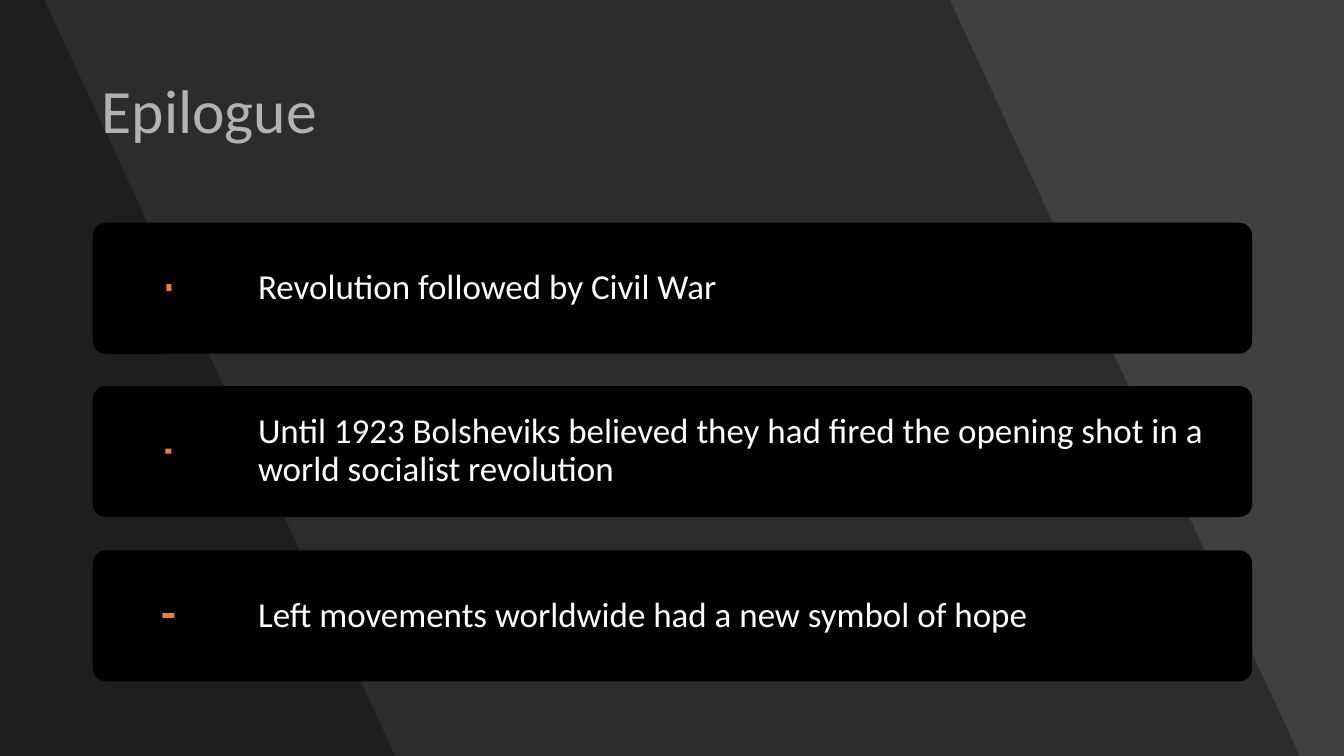
"""Build the "Epilogue" slide: a title above three marked statement panels."""
from dataclasses import dataclass

from lxml import etree
from pptx import Presentation
from pptx import util as u
from pptx.dml.color import RGBColor
from pptx.enum import shapes, text
from pptx.oxml.ns import qn

PX = 9144
SLIDE_WIDTH, SLIDE_HEIGHT = 1333, 750
PANEL_LEFT, PANEL_TOP, PANEL_WIDTH, PANEL_HEIGHT = 92, 221, 1150, 130
FIRST_TO_LAST = 325
TEXT_LEFT, TEXT_WIDTH, TEXT_INSET = 242, 1000, 14
MARK_CENTRE = 167
BAND_OPACITY = 30

BACKGROUND = RGBColor(0x40, 0x40, 0x40)
BLACK = RGBColor(0x00, 0x00, 0x00)
WHITE = RGBColor(0xFF, 0xFF, 0xFF)
ORANGE = RGBColor(0xED, 0x7D, 0x31)


@dataclass(frozen=True)
class Band:
    top_right: int
    bottom_right: int


@dataclass(frozen=True)
class Statement:
    wording: str
    mark_width: int
    mark_height: int


BANDS = [Band(942, 1289), Band(44, 392)]
STATEMENTS = [
    Statement("Revolution followed by Civil War", 5, 7),
    Statement(
        "Until 1923 Bolsheviks believed they had fired the opening shot "
        "in a world socialist revolution", 6, 5),
    Statement("Left movements worldwide had a new symbol of hope", 12, 5),
]


def px(length: int) -> u.Emu:
    return u.Emu(length * PX)


def paint(shape, colour: RGBColor) -> None:
    shape.shadow.inherit = False
    shape.fill.solid()
    shape.fill.fore_color.rgb = colour
    shape.line.fill.background()


def write(shape, wording: str, *, size: int, inset: int | None = None) -> None:
    frame = shape.text_frame
    frame.word_wrap = True
    frame.auto_size = text.MSO_AUTO_SIZE.NONE
    frame.vertical_anchor = text.MSO_ANCHOR.MIDDLE
    if inset is not None:
        frame.margin_left = frame.margin_right = px(inset)
        frame.margin_top = frame.margin_bottom = px(inset)
    paragraph = frame.paragraphs[0]
    paragraph.alignment = text.PP_ALIGN.LEFT
    paragraph.line_spacing = 0.9
    run = paragraph.add_run()
    run.text = wording
    run.font.name = "Calibri"
    run.font.size = u.Pt(size)
    run.font.color.rgb = WHITE


def add_band(slide, band: Band) -> None:
    builder = slide.shapes.build_freeform(0, 0, scale=PX)
    builder.add_line_segments([
        (band.top_right, 0), (band.bottom_right, SLIDE_HEIGHT), (0, SLIDE_HEIGHT)])
    shape = builder.convert_to_shape()
    paint(shape, BLACK)
    colour = shape.fill._xPr.find(qn("a:solidFill"))[0]
    etree.SubElement(colour, qn("a:alpha"), val=str(BAND_OPACITY * 1000))


def add_statement(slide, statement: Statement, top: int) -> None:
    panel = slide.shapes.add_shape(
        shapes.MSO_SHAPE.ROUNDED_RECTANGLE,
        px(PANEL_LEFT), px(top), px(PANEL_WIDTH), px(PANEL_HEIGHT))
    panel.adjustments[0] = 0.1
    paint(panel, BLACK)
    mark = slide.shapes.add_shape(
        shapes.MSO_SHAPE.RECTANGLE,
        px(MARK_CENTRE - statement.mark_width // 2),
        px(top + (PANEL_HEIGHT - statement.mark_height) // 2),
        px(statement.mark_width), px(statement.mark_height))
    paint(mark, ORANGE)
    box = slide.shapes.add_textbox(
        px(TEXT_LEFT), px(top), px(TEXT_WIDTH), px(PANEL_HEIGHT))
    write(box, statement.wording, size=25, inset=TEXT_INSET)


def main() -> None:
    presentation = Presentation()
    presentation.slide_width = px(SLIDE_WIDTH)
    presentation.slide_height = px(SLIDE_HEIGHT)
    slide = presentation.slides.add_slide(presentation.slide_layouts[5])
    slide.background.fill.solid()
    slide.background.fill.fore_color.rgb = BACKGROUND
    for band in BANDS:
        add_band(slide, band)
    title = slide.shapes.title
    title.left, title.top = px(91), px(40)
    title.width, title.height = px(1151), px(145)
    write(title, "Epilogue", size=44)
    for index, statement in enumerate(STATEMENTS):
        top = PANEL_TOP + index * FIRST_TO_LAST // (len(STATEMENTS) - 1)
        add_statement(slide, statement, top)
    presentation.save("out.pptx")


if __name__ == "__main__":
    main()
